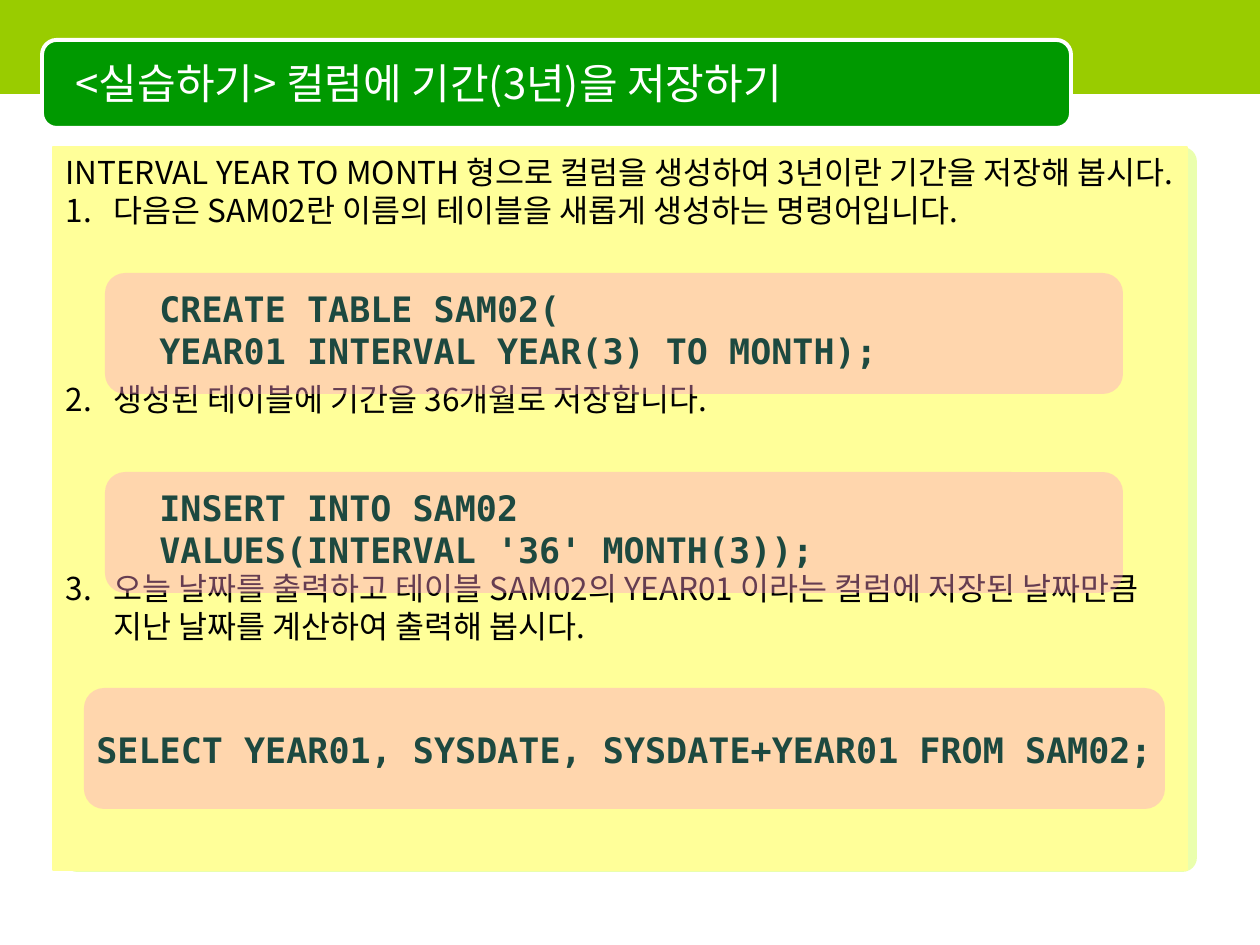
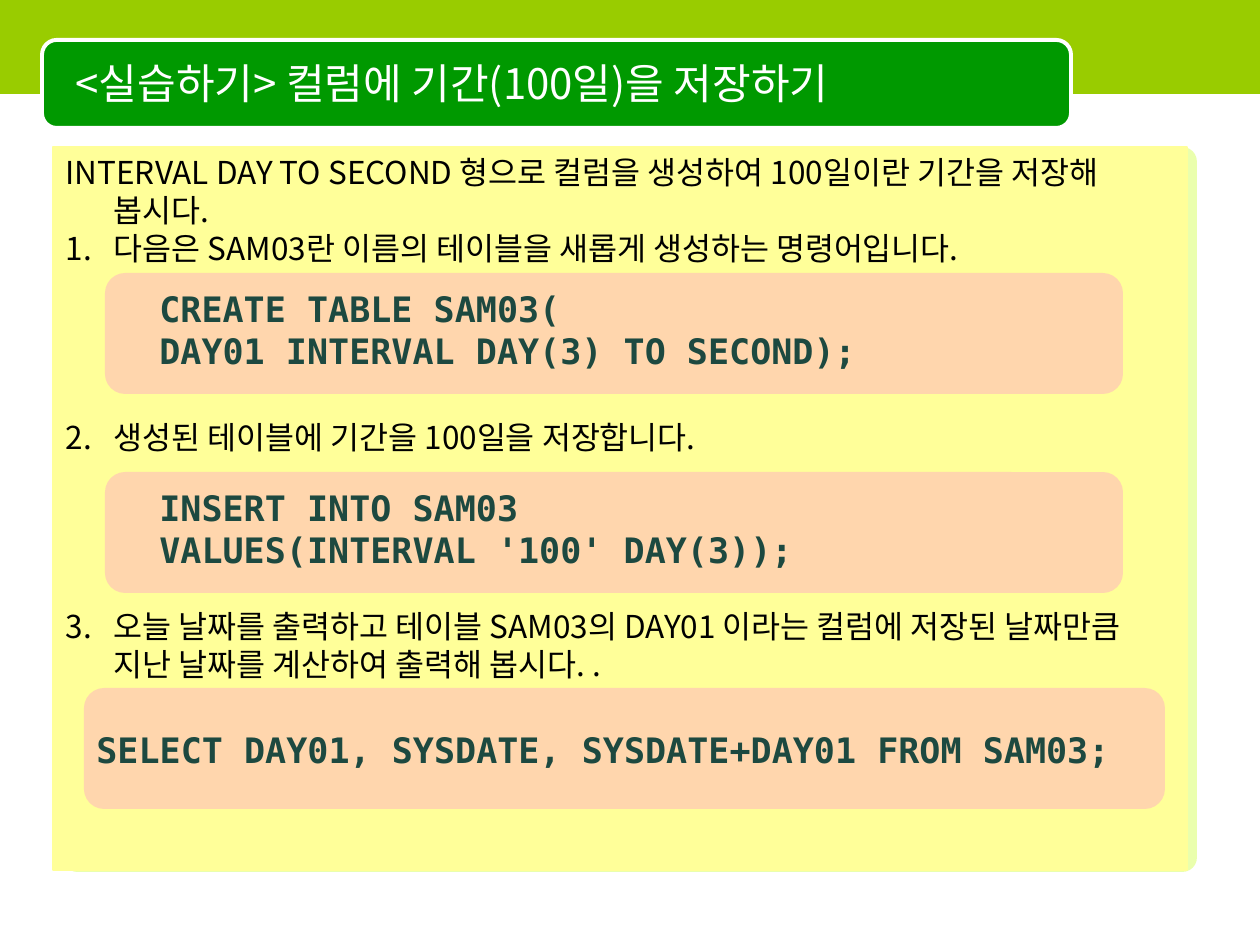
"""Build two practice slides about storing intervals in table columns."""
from lxml import etree
from pptx import Presentation
from pptx import util as u
from pptx.dml.color import RGBColor
from pptx.enum import shapes, text
from pptx.oxml.ns import qn

BODY_FONT = "Noto Sans CJK KR"
CODE_FONT = "DejaVu Sans Mono"
WHITE, BLACK = "FFFFFF", "000000"
BAND, TAB = "99CC00", "009900"
PANEL, PANEL_EDGE = "FFFF99", "CCFF33"
CODE_FILL, CODE_INK = "FF99CC", "1D4940"
LINE_PITCH = 21.6
CODE_GAP = 4 * LINE_PITCH
INDENT = 48

CODE_PLACES = [
    ((105, 273, 1018, 121), (147, 281, 935, 97)),
    ((105, 472, 1018, 121), (147, 480, 935, 97)),
    ((84, 688, 1081, 121), (84, 722, 1155, 55)),
]

SLIDES = [
    {
        "title": "<실습하기> 컬럼에 기간(3년)을 저장하기",
        "intro": "INTERVAL YEAR TO MONTH 형으로 컬럼을 생성하여 3년이란 기간을 저장해 봅시다.",
        "steps": [
            "다음은 SAM02란 이름의 테이블을 새롭게 생성하는 명령어입니다.",
            "생성된 테이블에 기간을 36개월로 저장합니다.",
            "오늘 날짜를 출력하고 테이블 SAM02의 YEAR01 이라는 컬럼에 저장된 "
            "날짜만큼 지난 날짜를 계산하여 출력해 봅시다.",
        ],
        "code": [
            "CREATE TABLE SAM02(\nYEAR01 INTERVAL YEAR(3) TO MONTH);",
            "INSERT INTO SAM02\nVALUES(INTERVAL '36' MONTH(3));",
            "SELECT YEAR01, SYSDATE, SYSDATE+YEAR01 FROM SAM02;",
        ],
    },
    {
        "title": "<실습하기> 컬럼에 기간(100일)을 저장하기",
        "intro": "INTERVAL DAY TO SECOND 형으로 컬럼을 생성하여 100일이란 기간을 저장해 봅시다.",
        "steps": [
            "다음은 SAM03란 이름의 테이블을 새롭게 생성하는 명령어입니다.",
            "생성된 테이블에 기간을 100일을 저장합니다.",
            "오늘 날짜를 출력하고 테이블 SAM03의 DAY01 이라는 컬럼에 저장된 "
            "날짜만큼 지난 날짜를 계산하여 출력해 봅시다. .",
        ],
        "code": [
            "CREATE TABLE SAM03(\nDAY01 INTERVAL DAY(3) TO SECOND);",
            "INSERT INTO SAM03\nVALUES(INTERVAL '100' DAY(3));",
            "SELECT DAY01, SYSDATE, SYSDATE+DAY01 FROM SAM03;",
        ],
    },
]


def px(length):
    """Turn pixels into EMU."""
    return u.Emu(round(length * 914400 / 126))


def color(value):
    """Turn a hex string into a colour."""
    return RGBColor.from_string(value)


def place(shape, left, top, width, height):
    """Move and size a shape in pixels."""
    shape.left, shape.top = px(left), px(top)
    shape.width, shape.height = px(width), px(height)


def paint(shape, fill, line=None, line_width=0.75, opacity=None):
    """Fill and outline a shape, with an optional opacity in percent."""
    shape.fill.solid()
    shape.fill.fore_color.rgb = color(fill)
    if opacity:
        tint = shape.fill._xPr.find(qn("a:solidFill"))[0]
        etree.SubElement(tint, qn("a:alpha"), val=str(opacity * 1000))
    if line:
        shape.line.color.rgb = color(line)
        shape.line.width = u.Pt(line_width)
    else:
        shape.line.fill.background()


def add_block(owner, kind, area, fill, corner=None, **look):
    """Add a painted shape without shadow."""
    block = owner.shapes.add_shape(kind, *map(px, area))
    block.shadow.inherit = False
    if corner is not None:
        block.adjustments[0] = corner
    paint(block, fill, **look)
    return block


def style_text(frame, font, size, ink, bold=False, pitch=None):
    """Format every run of a text frame and its line pitch in points."""
    frame.word_wrap = True
    frame.auto_size = text.MSO_AUTO_SIZE.NONE
    for para in frame.paragraphs:
        para.alignment = text.PP_ALIGN.LEFT
        para.space_before = u.Pt(0)
        if pitch:
            para.line_spacing = u.Pt(pitch)
        for span in para.runs:
            span.font.name, span.font.size = font, u.Pt(size)
            span.font.bold = bold
            span.font.color.rgb = color(ink)
            east_asian = etree.Element(qn("a:ea"), typeface=font)
            span.font._element.find(qn("a:latin")).addnext(east_asian)


def set_bullet(para, numbered):
    """Give a paragraph a hanging indent and a number or no bullet."""
    properties = para._p.get_or_add_pPr()
    properties.set("marL", str(px(INDENT)))
    properties.set("indent", str(-px(INDENT)))
    if numbered:
        etree.SubElement(properties, qn("a:buFont"), typeface="+mj-lt")
        etree.SubElement(properties, qn("a:buAutoNum"), type="arabicPeriod")
    else:
        etree.SubElement(properties, qn("a:buNone"))


def decorate_layout(layout, page):
    """Put the shared band, title tab and panel edge on the layout."""
    rounded = shapes.MSO_SHAPE.ROUNDED_RECTANGLE
    blocks = [
        add_block(page, rounded, (63, 147, 1134, 725), PANEL_EDGE, 0.02, opacity=40),
        add_block(page, shapes.MSO_SHAPE.RECTANGLE, (0, 0, 1260, 94), BAND),
        add_block(page, rounded, (42, 40, 1029, 88), TAB, line=WHITE, line_width=2.25),
    ]
    for position, block in enumerate(blocks, start=2):
        layout.shapes.element.insert(position, block.element)


def fill_title(page, wording):
    """Write the slide title on its tab."""
    title = page.shapes.title
    place(title, 63, 44, 998, 78)
    title.text_frame.text = wording
    title.text_frame.vertical_anchor = text.MSO_ANCHOR.MIDDLE
    style_text(title.text_frame, BODY_FONT, 24, WHITE)


def fill_steps(page, intro, steps):
    """Write the introduction and numbered steps on the yellow panel."""
    panel = page.placeholders[1]
    place(panel, 53, 147, 1134, 723)
    paint(panel, PANEL, line=PANEL)
    frame = panel.text_frame
    frame.text = "\n".join([intro, *steps])
    frame.vertical_anchor = text.MSO_ANCHOR.TOP
    style_text(frame, BODY_FONT, 18, BLACK, pitch=LINE_PITCH)
    for number, para in enumerate(frame.paragraphs):
        if number > 1:
            para.space_before = u.Pt(CODE_GAP)
        set_bullet(para, numbered=number > 0)


def add_code(page, wording, block_area, text_area):
    """Add a group of a rounded block and the code on it."""
    group = page.shapes.add_group_shape()
    add_block(group, shapes.MSO_SHAPE.ROUNDED_RECTANGLE, block_area, CODE_FILL, opacity=40)
    box = group.shapes.add_textbox(*map(px, text_area))
    box.text_frame.text = wording
    style_text(box.text_frame, CODE_FONT, 20, CODE_INK, bold=True, pitch=24)


def main():
    """Build and save the deck."""
    deck = Presentation()
    deck.slide_width, deck.slide_height = px(1260), px(945)
    layout = deck.slide_layouts[1]
    pages = [deck.slides.add_slide(layout) for _ in SLIDES]
    decorate_layout(layout, pages[0])
    for page, content in zip(pages, SLIDES):
        fill_title(page, content["title"])
        fill_steps(page, content["intro"], content["steps"])
        for wording, areas in zip(content["code"], CODE_PLACES):
            add_code(page, wording, *areas)
    deck.save("out.pptx")


if __name__ == "__main__":
    main()
